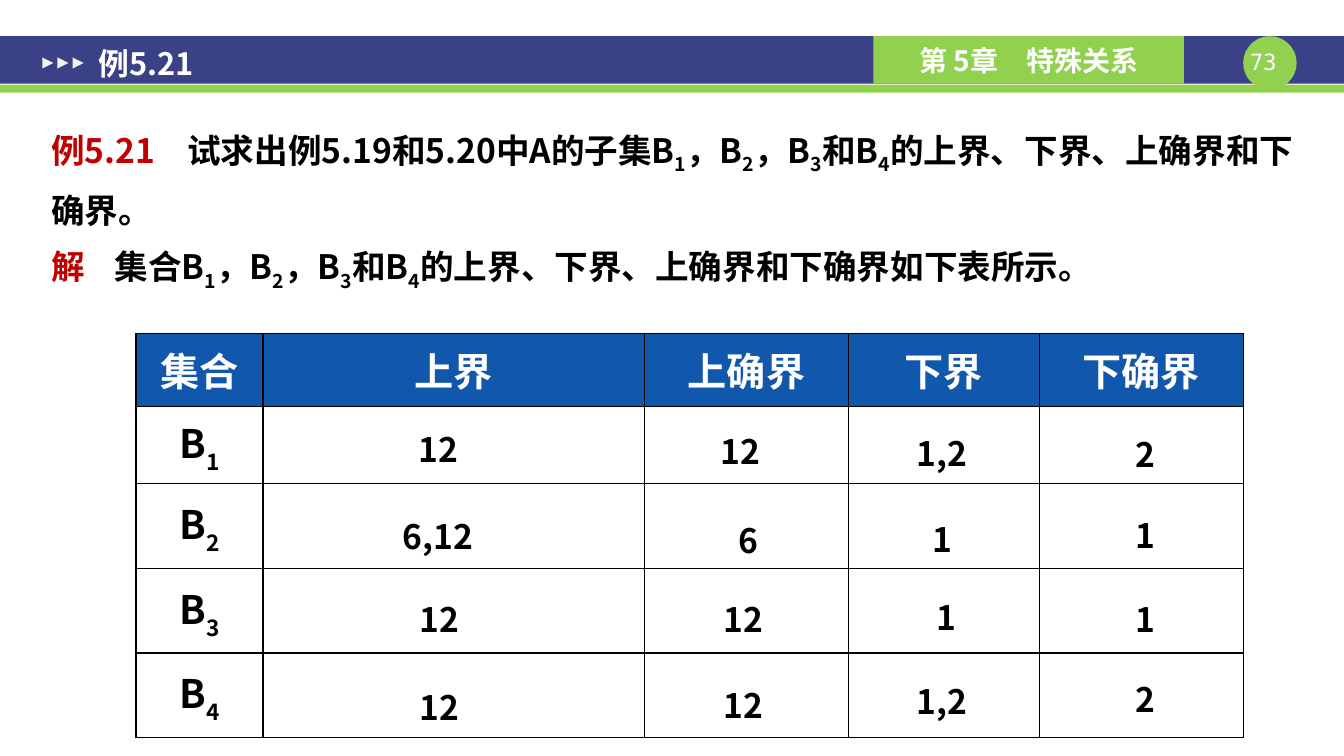
import pptx
import pptx.dml.color
import pptx.enum.shapes
import pptx.enum.text
import pptx.oxml
import pptx.oxml.ns
import pptx.util
from pptx.util import Inches

SANS = "Noto Sans CJK SC"
MONO = "DejaVu Sans Mono"
NAVY, GREEN, BLUE, RED = "3A4187", "92D050", "1157AB", "C00000"
WHITE, PALE, BLACK = "FFFFFF", "F2F2F2", "000000"
SHAPES = pptx.enum.shapes.MSO_SHAPE
MIDDLE = pptx.enum.text.MSO_ANCHOR.MIDDLE
TOP = pptx.enum.text.MSO_ANCHOR.TOP
CENTER = pptx.enum.text.PP_ALIGN.CENTER
LEFT = pptx.enum.text.PP_ALIGN.LEFT

COLUMN_WIDTHS = [1.26, 3.79, 2.02, 1.9, 2.02]
ROW_HEIGHTS = [0.72, 0.77, 0.84, 0.84, 0.84]
HEADINGS = ["集合", "上界", "上确界", "下界", "下确界"]

# Bounds of B1 to B4: text, left, top, width
BOUNDS = [
    ("12", 4.04, 4.21, 0.62), ("12", 7.04, 4.23, 0.62),
    ("1,2", 8.87, 4.25, 0.96), ("2", 11.16, 4.26, 0.41),
    ("6,12", 3.6, 5.07, 1.49), ("6", 6.68, 5.11, 1.49),
    ("1", 8.61, 5.1, 1.49), ("1", 10.62, 5.06, 1.49),
    ("12", 4.05, 5.89, 0.62), ("12", 7.07, 5.89, 0.62),
    ("1", 8.65, 5.87, 1.49), ("1", 10.62, 5.89, 1.49),
    ("12", 4.05, 6.77, 0.62), ("12", 7.07, 6.75, 0.62),
    ("1,2", 8.87, 6.71, 0.96), ("2", 11.16, 6.69, 0.41),
]


def rgb(color):
    return pptx.dml.color.RGBColor.from_string(color)


def add_run(para, text, size, color, font=SANS, bold=True, baseline=0):
    """Add a run; baseline is a percentage, negative for a subscript."""
    span = para.add_run()
    span.text = text
    span.font.size = pptx.util.Pt(size)
    span.font.bold = bold
    span.font.color.rgb = rgb(color)
    span.font.name = font
    properties = span._r.get_or_add_rPr()
    east_asian = pptx.oxml.parse_xml(
        f'<a:ea {pptx.oxml.ns.nsdecls("a")} typeface="{font}"/>')
    properties.append(east_asian)
    if baseline:
        properties.set("baseline", str(baseline * 1000))


def add_set_names(para):
    """Add the list of sets B1 to B4, each with its subscript."""
    for name, index in (("B", 1), ("，B", 2), ("，B", 3), ("和B", 4)):
        add_run(para, name, 24, BLACK)
        add_run(para, str(index), 24, BLACK, baseline=-25)


def add_tab_stop(para, position):
    para._p.get_or_add_pPr().append(pptx.oxml.parse_xml(
        f'<a:tabLst {pptx.oxml.ns.nsdecls("a")}>'
        f'<a:tab pos="{Inches(position)}" algn="l"/></a:tabLst>'))


def add_shape(slide, kind, left, top, width, height, color):
    shape = slide.shapes.add_shape(
        kind, Inches(left), Inches(top), Inches(width), Inches(height))
    shape.shadow.inherit = False
    shape.fill.solid()
    shape.fill.fore_color.rgb = rgb(color)
    shape.line.fill.background()
    return shape


def add_text_box(slide, left, top, width, height, inset=(0.1, 0.05),
                 anchor=TOP, align=LEFT):
    """Add a wrapping text box and return its frame."""
    box = slide.shapes.add_textbox(
        Inches(left), Inches(top), Inches(width), Inches(height))
    frame = box.text_frame
    frame.word_wrap = True
    frame.vertical_anchor = anchor
    frame.margin_left = frame.margin_right = Inches(inset[0])
    frame.margin_top = frame.margin_bottom = Inches(inset[1])
    frame.paragraphs[0].alignment = align
    return frame


def add_header(slide):
    add_shape(slide, SHAPES.RECTANGLE, 0, 0.36, 13.34, 0.47, NAVY)
    add_shape(slide, SHAPES.RECTANGLE, 0, 0.84, 13.34, 0.08, GREEN)
    add_shape(slide, SHAPES.OVAL, 12.34, 0.36, 0.53, 0.53, GREEN)
    number = add_text_box(slide, 12.34, 0.48, 0.53, 0.27, (0, 0), align=CENTER)
    add_run(number.paragraphs[0], "73 ", 16, WHITE, MONO, bold=False)

    chapter = add_shape(slide, SHAPES.RECTANGLE, 8.67, 0.36, 3.08, 0.47, GREEN)
    chapter.text_frame.vertical_anchor = MIDDLE
    chapter_para = chapter.text_frame.paragraphs[0]
    chapter_para.alignment = CENTER
    add_run(chapter_para, "第 5章　特殊关系", 20, WHITE)

    for index in range(3):
        arrow = add_shape(slide, SHAPES.ISOSCELES_TRIANGLE,
                          0.42 + 0.15 * index, 0.57, 0.11, 0.11, PALE)
        arrow.rotation = 90
    title = add_text_box(slide, 0.85, 0.31, 11.77, 0.64, (0.13, 0.07), MIDDLE)
    add_run(title.paragraphs[0], "例5.21", 22, WHITE)


def add_problem(slide):
    frame = add_text_box(slide, 0.38, 1.06, 12.73, 1.88, (0.13, 0.07))
    sentences = [
        ("例5.21", 1.35, "试求出例5.19和5.20中A的子集", "的上界、下界、上确界和下确界。"),
        ("解", 0.63, "集合", "的上界、下界、上确界和下确界如下表所示。"),
    ]
    for index, (label, gap, opening, ending) in enumerate(sentences):
        para = frame.add_paragraph() if index else frame.paragraphs[0]
        para.line_spacing = 1.35
        add_tab_stop(para, gap)
        add_run(para, label + "\t", 24, RED)
        add_run(para, opening, 24, BLACK)
        add_set_names(para)
        add_run(para, ending, 24, BLACK)


def set_borders(cell):
    """Draw a thin black line on all four sides; call before filling."""
    properties = cell._tc.get_or_add_tcPr()
    for side in ("lnL", "lnR", "lnT", "lnB"):
        properties.append(pptx.oxml.parse_xml(
            f'<a:{side} {pptx.oxml.ns.nsdecls("a")} w="12700"><a:solidFill>'
            f'<a:srgbClr val="{BLACK}"/></a:solidFill></a:{side}>'))


def add_bounds_table(slide):
    table = slide.shapes.add_table(
        len(ROW_HEIGHTS), len(COLUMN_WIDTHS), Inches(1.35), Inches(3.31),
        Inches(sum(COLUMN_WIDTHS)), Inches(sum(ROW_HEIGHTS))).table
    table.first_row = table.horz_banding = False
    for column, width in zip(table.columns, COLUMN_WIDTHS):
        column.width = Inches(width)
    for row, height in zip(table.rows, ROW_HEIGHTS):
        row.height = Inches(height)
    for cell in table.iter_cells():
        set_borders(cell)
        cell.fill.background()
        cell.vertical_anchor = MIDDLE
        cell.margin_left = cell.margin_right = 0
        cell.text_frame.paragraphs[0].alignment = CENTER
    for column, heading in enumerate(HEADINGS):
        cell = table.cell(0, column)
        cell.fill.solid()
        cell.fill.fore_color.rgb = rgb(BLUE)
        add_run(cell.text_frame.paragraphs[0], heading, 28, WHITE)
    for row in range(1, len(ROW_HEIGHTS)):
        para = table.cell(row, 0).text_frame.paragraphs[0]
        add_run(para, "B", 28, BLACK)
        add_run(para, str(row), 28, BLACK, baseline=-30)


def add_bounds(slide):
    for text, left, top, width in BOUNDS:
        frame = add_text_box(slide, left, top, width, 0.5, align=CENTER)
        add_run(frame.paragraphs[0], text, 24, BLACK)


def main():
    deck = pptx.Presentation()
    deck.slide_width = Inches(13.34)
    deck.slide_height = Inches(7.5)
    page = deck.slides.add_slide(deck.slide_layouts[6])
    add_header(page)
    add_problem(page)
    add_bounds_table(page)
    add_bounds(page)
    deck.save("out.pptx")


if __name__ == "__main__":
    main()
